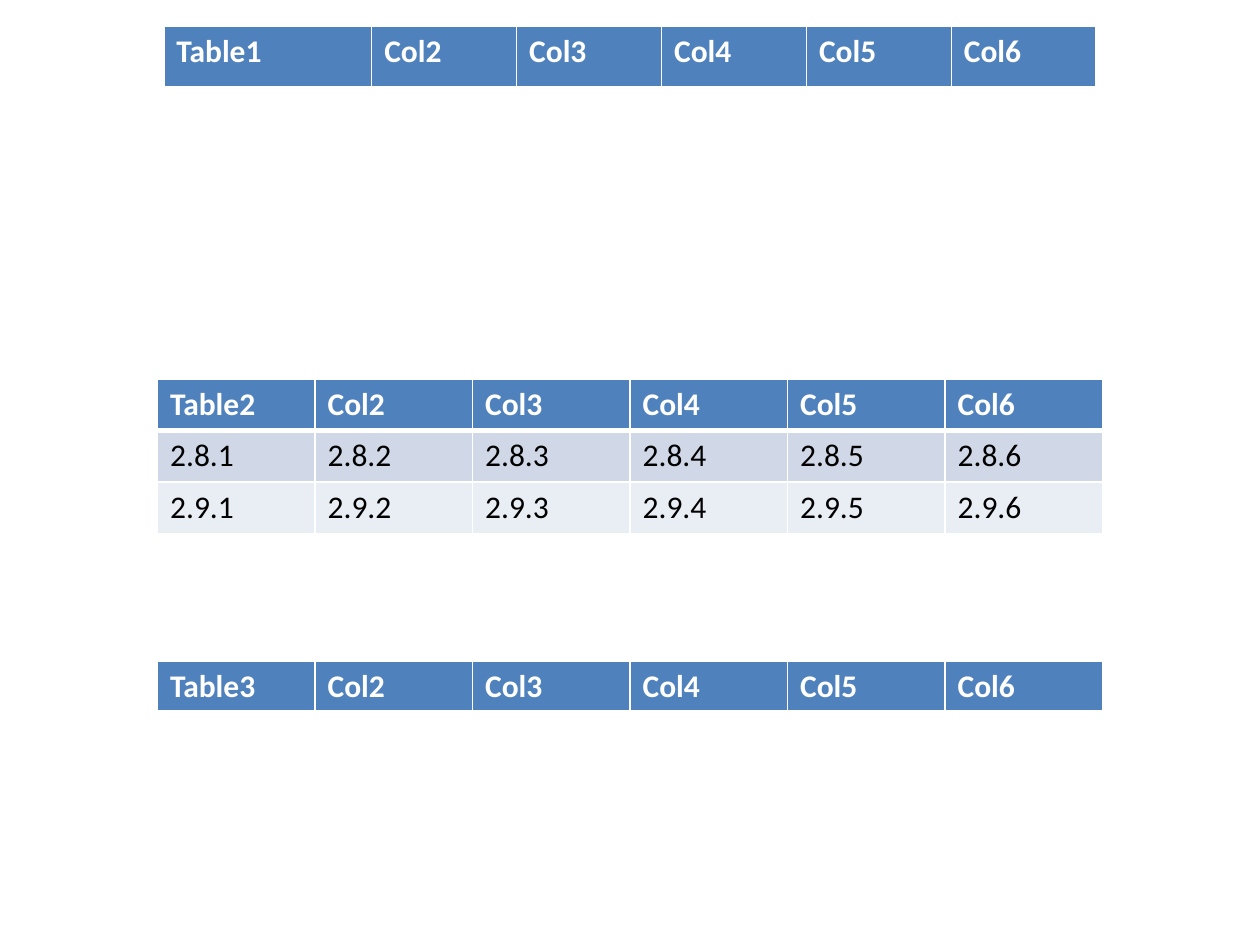
from lxml import etree
from pptx import Presentation, util as u
from pptx.dml.color import RGBColor
from pptx.oxml.ns import qn

THEME = {
    "font": "Calibri",
    "size": u.Pt(18),
    "header": ("4F81BD", "FFFFFF"),
    "bands": [("D0D8E8", "000000"), ("E9EDF4", "000000")],
    "border": "FFFFFF",
    "thin": u.Pt(1),
    "thick": u.Pt(3),
}


def style_cell(cell, fill, ink, is_header):
    """Set fill, font and white rules; a header has a heavy rule below."""
    cell_props = cell._tc.get_or_add_tcPr()
    for side in ("lnL", "lnR", "lnT", "lnB"):
        heavy = is_header and side == "lnB"
        rule = etree.SubElement(cell_props, qn(f"a:{side}"),
                                w=str(THEME["thick" if heavy else "thin"]))
        solid = etree.SubElement(rule, qn("a:solidFill"))
        etree.SubElement(solid, qn("a:srgbClr"), val=THEME["border"])
    cell.fill.solid()
    cell.fill.fore_color.rgb = RGBColor.from_string(fill)
    font = cell.text_frame.paragraphs[0].font
    font.name, font.size, font.bold = THEME["font"], THEME["size"], is_header
    font.color.rgb = RGBColor.from_string(ink)


deck = Presentation()
deck.slide_width, deck.slide_height = u.Inches(10), u.Inches(7.5)
slide = deck.slides.add_slide(deck.slide_layouts[6])

COLUMNS = range(1, 7)
even_widths = [1.25] * len(COLUMNS)
# title, left, top, frame height, column widths, row heights, body row labels
tables = [
    ("Table1", 1.3, 0.21, 2.6, [1.65] + [1.15] * 5, [0.49], []),
    ("Table2", 1.25, 3.01, 2.02, even_widths, [0.25, 0.41, 0.41], ["2.8", "2.9"]),
    ("Table3", 1.25, 5.25, 2.02, even_widths, [0.25], []),
]

for title, left, top, height, widths, heights, labels in tables:
    rows = [[title] + [f"Col{n}" for n in COLUMNS[1:]]]
    rows += [[f"{label}.{n}" for n in COLUMNS] for label in labels]
    frame = slide.shapes.add_table(len(rows), len(COLUMNS), u.Inches(left), u.Inches(top),
                                   u.Inches(sum(widths)), u.Inches(height))
    grid = frame.table
    for column, width in zip(grid.columns, widths):
        column.width = u.Inches(width)
    for row, row_height in zip(grid.rows, heights):
        row.height = u.Inches(row_height)
    frame.height = u.Inches(height)

    palette = [THEME["header"]] + THEME["bands"]
    for r, (values, (fill, ink)) in enumerate(zip(rows, palette)):
        for c, value in enumerate(values):
            grid.cell(r, c).text = value
            style_cell(grid.cell(r, c), fill, ink, is_header=r == 0)

deck.save("out.pptx")
